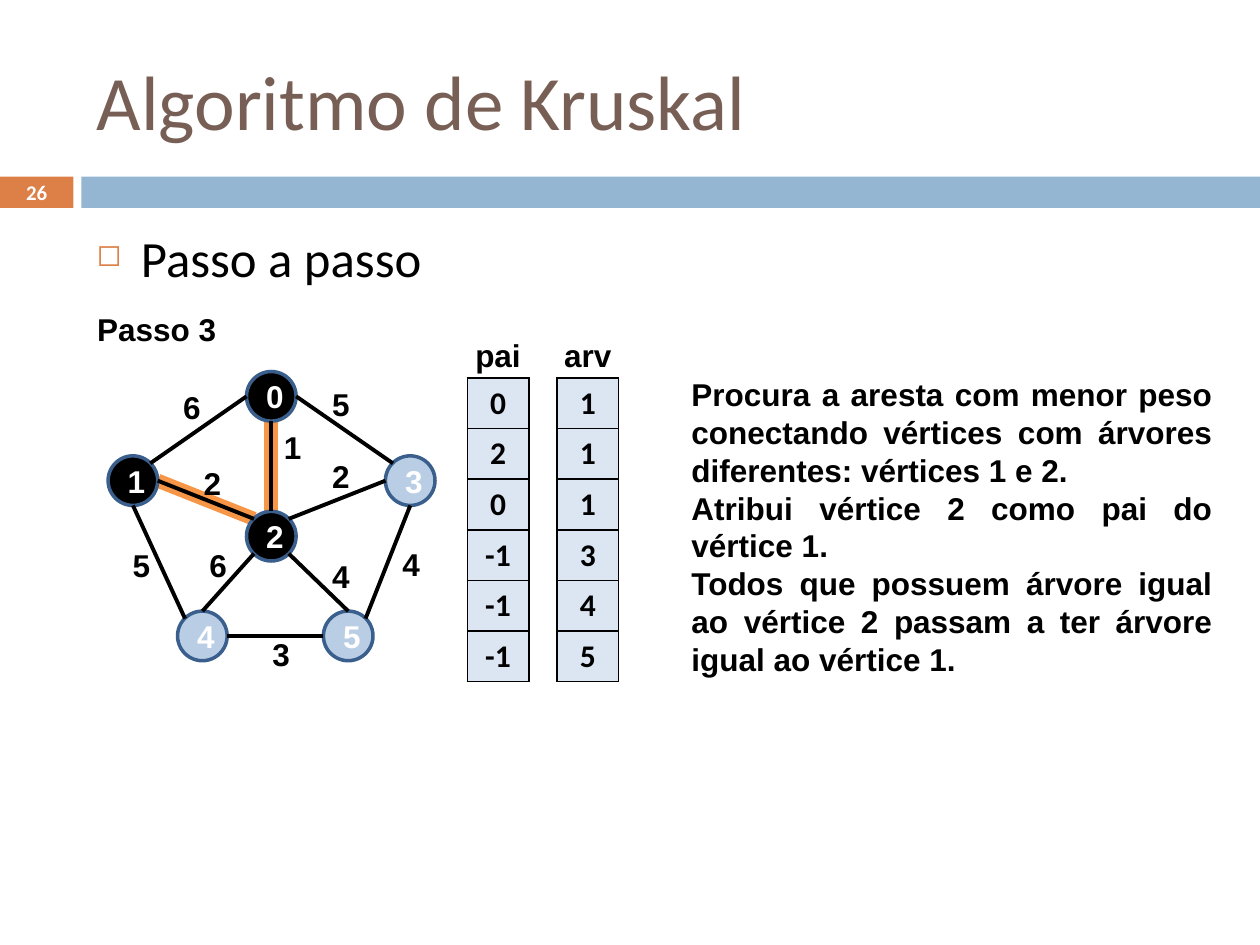
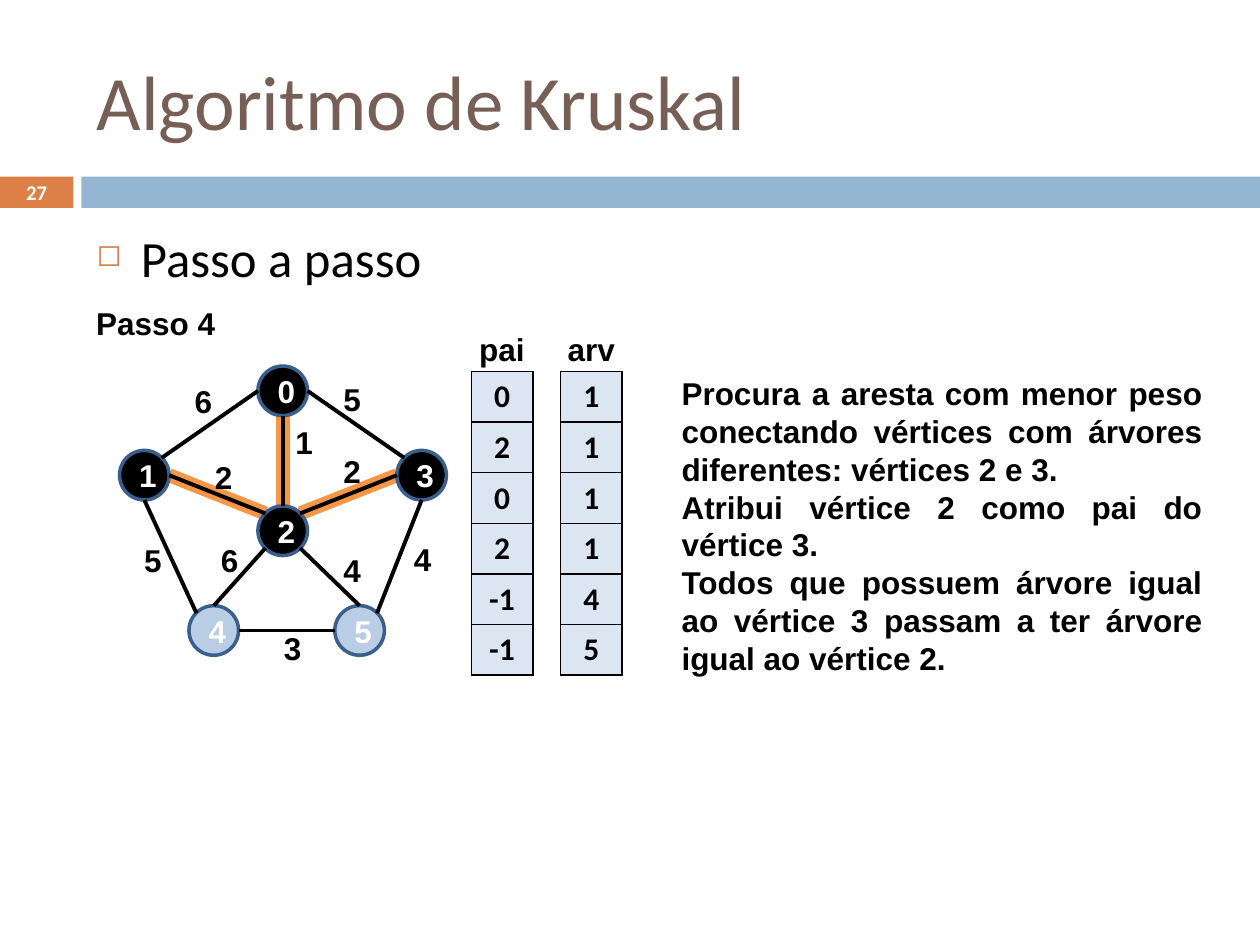
from dataclasses import dataclass

from lxml.etree import SubElement
from pptx import Presentation
from pptx.dml.color import RGBColor
from pptx.enum.shapes import MSO_CONNECTOR, MSO_SHAPE
from pptx.enum.text import MSO_ANCHOR, PP_ALIGN
from pptx.oxml.ns import qn
from pptx.util import Cm, Pt


@dataclass(frozen=True)
class Theme:
    black: str = "000000"
    white: str = "FFFFFF"
    title: str = "775F55"
    accent: str = "DD8047"
    band: str = "94B6D2"
    pending: str = "B9CDE5"
    outline: str = "3A5F8C"
    highlight: str = "F79646"
    cell: str = "DCE6F2"
    heading_font: str = "Calibri"
    label_font: str = "Arial"
    title_size: float = 44
    bullet_size: float = 29
    text_size: float = 18
    number_size: float = 11.9


T = Theme()

# Graph layout in cm, measured from its upper left corner
NODE_SIZE = 1
NODES = [(2.79, 0), (0, 1.7), (2.79, 2.82), (5.59, 1.7), (1.4, 4.83), (4.34, 4.83)]
SITES = {"t": (0.5, 0), "l": (0, 0.5), "b": (0.5, 1), "r": (1, 0.5),
         "tl": (0.15, 0.15), "tr": (0.85, 0.15), "bl": (0.15, 0.85), "br": (0.85, 0.85)}
# (node, node): (site, site, weight, weight centre x, weight top)
EDGES = {
    (0, 3): ("r", "tl", "5", 4.69, 0.15),
    (0, 1): ("l", "tr", "6", 1.69, 0.2),
    (1, 2): ("r", "tl", "2", 2.1, 1.73),
    (0, 2): ("b", "t", "1", 3.72, 1.02),
    (2, 3): ("tr", "l", "2", 4.69, 1.6),
    (3, 5): ("b", "tr", "4", 6.11, 3.38),
    (2, 5): ("br", "t", "4", 4.69, 3.61),
    (4, 5): ("r", "l", "3", 3.49, 5.18),
    (2, 4): ("bl", "t", "6", 2.22, 3.4),
    (1, 4): ("b", "tl", "5", 0.67, 3.4),
}
WEIGHT_WIDTH = 3.38
LABEL_HEIGHT = 1.02
CELL_WIDTH, CELL_HEIGHT = 1.24, 1.02

STEPS = [
    dict(number=26, label="Passo 3", label_at=(1.37, 6.12), graph_at=(2.18, 7.49),
         tree=[(1, 2), (0, 2)], reached={0, 1, 2},
         tables_top=7.62, pai_left=9.42, arv_left=11.23,
         pai=[0, 2, 0, -1, -1, -1], arv=[1, 1, 1, 3, 4, 5],
         notes_at=(13.69, 7.44),
         notes=["Procura a aresta com menor peso conectando vértices com árvores "
                "diferentes: vértices 1 e 2.",
                "Atribui vértice 2 como pai do vértice 1.",
                "Todos que possuem árvore igual ao vértice 2 passam a ter árvore "
                "igual ao vértice 1."]),
    dict(number=27, label="Passo 4", label_at=(1.35, 6.01), graph_at=(2.41, 7.38),
         tree=[(2, 3), (1, 2), (0, 2)], reached={0, 1, 2, 3},
         tables_top=7.49, pai_left=9.5, arv_left=11.3,
         pai=[0, 2, 0, 2, -1, -1], arv=[1, 1, 1, 1, 4, 5],
         notes_at=(13.49, 7.42),
         notes=["Procura a aresta com menor peso conectando vértices com árvores "
                "diferentes: vértices 2 e 3.",
                "Atribui vértice 2 como pai do vértice 3.",
                "Todos que possuem árvore igual ao vértice 3 passam a ter árvore "
                "igual ao vértice 2."]),
]


def rgb(color):
    return RGBColor.from_string(color)


def write(tf, text, size=T.text_size, color=T.black, font=T.label_font, bold=True,
          align=PP_ALIGN.CENTER, anchor=MSO_ANCHOR.TOP):
    """Fill a text frame, one paragraph for each line of text."""
    tf.word_wrap = True
    tf.vertical_anchor = anchor
    for i, line in enumerate(text.split("\n")):
        p = tf.paragraphs[0] if i == 0 else tf.add_paragraph()
        p.alignment = align
        r = p.add_run()
        r.text = line
        r.font.size, r.font.name, r.font.bold = Pt(size), font, bold
        r.font.color.rgb = rgb(color)


def add_text(s, x, y, w, h, text, **fmt):
    tf = s.shapes.add_textbox(Cm(x), Cm(y), Cm(w), Cm(h)).text_frame
    write(tf, text, **fmt)
    return tf


def add_shape(s, kind, x, y, w, h, fill, line=None):
    sp = s.shapes.add_shape(kind, Cm(x), Cm(y), Cm(w), Cm(h))
    sp.shadow.inherit = False
    sp.fill.solid()
    sp.fill.fore_color.rgb = rgb(fill)
    if line:
        sp.line.color.rgb = rgb(line)
        sp.line.width = Pt(2)
    else:
        sp.line.fill.background()
    return sp


def add_line(s, start, end, color, width):
    cx = s.shapes.add_connector(MSO_CONNECTOR.STRAIGHT, *map(Cm, (*start, *end)))
    cx.line.color.rgb = rgb(color)
    cx.line.width = Pt(width)
    SubElement(cx._element.spPr, qn("a:effectLst"))


def set_bullet(p, char, color, percent, indent):
    pPr = p._p.get_or_add_pPr()
    pPr.set("marL", str(Cm(indent)))
    pPr.set("indent", str(-Cm(indent)))
    SubElement(SubElement(pPr, qn("a:buClr")), qn("a:srgbClr"), val=color)
    SubElement(pPr, qn("a:buSzPct"), val=str(percent * 1000))
    SubElement(pPr, qn("a:buChar"), char=char)


def set_borders(cell, color, width):
    tcPr = cell._tc.get_or_add_tcPr()
    for side in ("lnL", "lnR", "lnT", "lnB"):
        ln = SubElement(tcPr, qn(f"a:{side}"), w=str(Pt(width)))
        SubElement(SubElement(ln, qn("a:solidFill")), qn("a:srgbClr"), val=color)


def add_vector(s, x, y, name, values, name_width):
    """Draw a one-column table with its name centred above it."""
    add_text(s, x + (CELL_WIDTH - name_width) / 2, y - 0.97, name_width, LABEL_HEIGHT, name)
    n = len(values)
    table = s.shapes.add_table(n, 1, Cm(x), Cm(y), Cm(CELL_WIDTH), Cm(n * CELL_HEIGHT)).table
    table.first_row = table.horz_banding = False
    for row, value in enumerate(values):
        cell = table.cell(row, 0)
        set_borders(cell, T.black, 1)
        cell.fill.solid()
        cell.fill.fore_color.rgb = rgb(T.cell)
        write(cell.text_frame, str(value), font=T.heading_font)


def add_graph(s, left, top, tree, reached):
    def site(node, name):
        x, y = NODES[node]
        dx, dy = SITES[name]
        return left + x + dx * NODE_SIZE, top + y + dy * NODE_SIZE

    def edge(pair, color, width):
        a, b = pair
        add_line(s, site(a, EDGES[pair][0]), site(b, EDGES[pair][1]), color, width)

    # Tree edges lie beneath the graph
    for pair in tree:
        edge(pair, T.highlight, 8)
    for node, (x, y) in enumerate(NODES):
        fill = T.black if node in reached else T.pending
        sp = add_shape(s, MSO_SHAPE.OVAL, left + x, top + y, NODE_SIZE, NODE_SIZE,
                       fill, T.outline)
        write(sp.text_frame, str(node), color=T.white, anchor=MSO_ANCHOR.MIDDLE)
    for pair, (_, _, weight, x, y) in EDGES.items():
        edge(pair, T.black, 2.25)
        add_text(s, left + x - WEIGHT_WIDTH / 2, top + y, WEIGHT_WIDTH, LABEL_HEIGHT, weight)


def add_frame(s, number):
    """Title, band, slide number and bullet shared by all slides."""
    add_shape(s, MSO_SHAPE.RECTANGLE, 0, 3.56, 1.48, 0.63, T.accent)
    add_shape(s, MSO_SHAPE.RECTANGLE, 1.64, 3.56, 23.76, 0.63, T.band)
    add_text(s, 1.7, 0.64, 22.66, 2.74, "Algoritmo de Kruskal", size=T.title_size,
             color=T.title, font=T.heading_font, bold=False, align=PP_ALIGN.LEFT,
             anchor=MSO_ANCHOR.MIDDLE)
    add_text(s, 0, 3.53, 1.48, 0.69, str(number), size=T.number_size, color=T.white,
             font=T.heading_font, anchor=MSO_ANCHOR.MIDDLE)
    tf = add_text(s, 1.7, 4.45, 22.66, 1.5, "Passo a passo", size=T.bullet_size,
                  font=T.heading_font, bold=False, align=PP_ALIGN.LEFT)
    set_bullet(tf.paragraphs[0], "◻", T.accent, 60, 0.89)


def add_step(prs, step):
    s = prs.slides.add_slide(prs.slide_layouts[6])
    add_frame(s, step["number"])
    add_text(s, *step["label_at"], 3.58, LABEL_HEIGHT, step["label"])
    add_graph(s, *step["graph_at"], step["tree"], step["reached"])
    add_vector(s, step["pai_left"], step["tables_top"], "pai", step["pai"], 1.8)
    add_vector(s, step["arv_left"], step["tables_top"], "arv", step["arv"], 2.2)
    add_text(s, *step["notes_at"], 11, 6.4, "\n".join(step["notes"]),
             align=PP_ALIGN.JUSTIFY)


def main():
    prs = Presentation()
    prs.slide_width, prs.slide_height = Cm(25.4), Cm(19.05)
    for step in STEPS:
        add_step(prs, step)
    prs.save("out.pptx")


if __name__ == "__main__":
    main()
